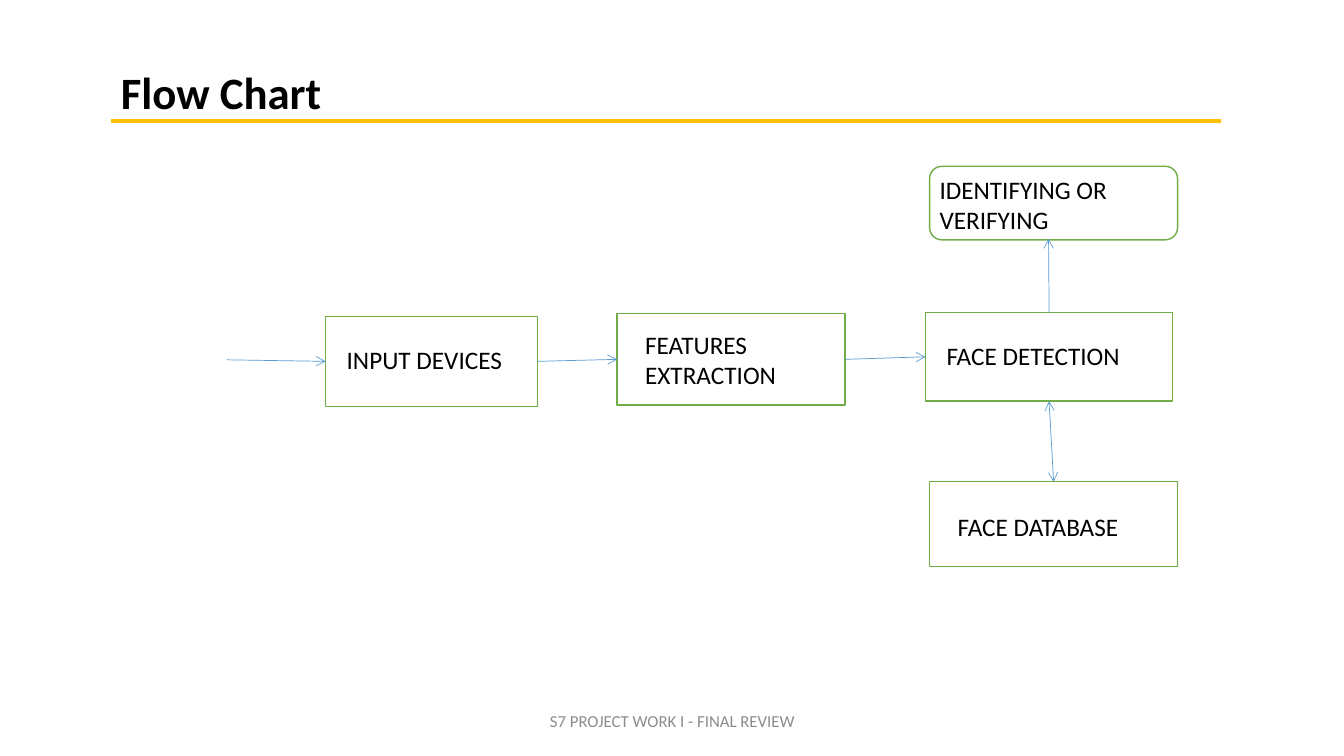
from dataclasses import dataclass
from typing import Any, Optional

from lxml import etree
from pptx import Presentation
from pptx.dml.color import RGBColor
from pptx.enum import shapes, text
from pptx.oxml import ns
from pptx.util import Inches, Pt

COLORS = {"black": "000000", "gray": "8C8C8C", "white": "FFFFFF",
          "gold": "FFC000", "green": "70AD47", "blue": "5B9BD5"}
TOP, LEFT, BOTTOM, RIGHT = range(4)
Area = tuple[float, float, float, float]
Point = tuple[float, float]
Joint = Optional[tuple[str, int]]


@dataclass
class Step:
    name: str
    area: Area
    label: str
    label_area: Area
    kind: Any = shapes.MSO_SHAPE.RECTANGLE


@dataclass
class Arrow:
    start: Point
    end: Point
    begin: Joint = None
    finish: Joint = None
    both: bool = False


STEPS = [
    Step("input", (3.23, 3.14, 2.1, 0.89), "INPUT DEVICES", (3.34, 3.37, 1.88, 0.4)),
    Step("features", (6.12, 3.11, 2.26, 0.91), "FEATURES EXTRACTION", (6.3, 3.22, 2.15, 0.71)),
    Step("detection", (9.18, 3.1, 2.45, 0.88), "FACE DETECTION", (9.29, 3.33, 2.34, 0.4)),
    Step("database", (9.22, 4.78, 2.46, 0.84), "FACE DATABASE", (9.4, 5.02, 2.28, 0.4)),
    Step("result", (9.22, 1.65, 2.46, 0.73), "IDENTIFYING OR VERIFYING",
         (9.22, 1.68, 2.55, 0.71), shapes.MSO_SHAPE.ROUNDED_RECTANGLE),
]
ARROWS = [
    Arrow((2.25, 3.57), (3.23, 3.58), finish=("input", LEFT)),
    Arrow((5.33, 3.58), (6.12, 3.57), ("input", RIGHT), ("features", LEFT)),
    Arrow((8.35, 3.57), (9.18, 3.54), ("features", RIGHT), ("detection", LEFT)),
    Arrow((10.41, 3.1), (10.4, 2.37), ("detection", TOP)),
    Arrow((10.41, 3.97), (10.42, 4.78), ("detection", BOTTOM), ("database", TOP), True),
]


def rgb(color: str) -> RGBColor:
    return RGBColor.from_string(COLORS[color])


def add_text(s: Any, area: Area, words: str, color: str = "black",
             anchor: Any = text.MSO_ANCHOR.TOP, font: Optional[dict] = None,
             paragraph: Optional[dict] = None) -> None:
    tf = s.shapes.add_textbox(*map(Inches, area)).text_frame
    tf.word_wrap = True
    tf.vertical_anchor = anchor
    p = tf.paragraphs[0]
    r = p.add_run()
    r.text = words
    for key, value in (paragraph or {}).items():
        setattr(p, key, value)
    for key, value in ({"name": "Calibri", "size": Pt(18)} | (font or {})).items():
        setattr(r.font, key, value)
    r.font.color.rgb = rgb(color)


def add_step(s: Any, step: Step) -> Any:
    sp = s.shapes.add_shape(step.kind, *map(Inches, step.area))
    sp.shadow.inherit = False
    sp.fill.solid()
    sp.fill.fore_color.rgb = rgb("white")
    sp.line.color.rgb = rgb("green")
    sp.line.width = Pt(1)
    add_text(s, step.label_area, step.label)
    return sp


def add_line(s: Any, start: Point, end: Point, color: str, width: float) -> Any:
    line = s.shapes.add_connector(shapes.MSO_CONNECTOR.STRAIGHT, *map(Inches, start + end))
    line.line.color.rgb = rgb(color)
    line.line.width = Pt(width)
    etree.SubElement(line._element.spPr, ns.qn("a:effectLst"))
    return line


def add_arrow(s: Any, arrow: Arrow, boxes: dict[str, Any]) -> None:
    line = add_line(s, arrow.start, arrow.end, "blue", 0.5)
    if arrow.begin:
        line.begin_connect(boxes[arrow.begin[0]], arrow.begin[1])
    if arrow.finish:
        line.end_connect(boxes[arrow.finish[0]], arrow.finish[1])
    for tag in ["a:headEnd", "a:tailEnd"] if arrow.both else ["a:tailEnd"]:
        etree.SubElement(line.line._get_or_add_ln(), ns.qn(tag), type="arrow")


def main() -> None:
    prs = Presentation()
    prs.slide_width, prs.slide_height = Inches(13.33), Inches(7.5)
    s = prs.slides.add_slide(prs.slide_layouts[6])

    # Title, footer and rule
    add_text(s, (1.1, 0.22, 11.5, 1.45), "Flow Chart", anchor=text.MSO_ANCHOR.MIDDLE,
             font={"size": Pt(32), "bold": True}, paragraph={"line_spacing": 0.9})
    add_text(s, (4.42, 6.95, 4.5, 0.4), "S7 PROJECT WORK I - FINAL REVIEW", "gray",
             text.MSO_ANCHOR.MIDDLE, {"size": Pt(12)}, {"alignment": text.PP_ALIGN.CENTER})
    add_line(s, (1.1, 1.2), (12.11, 1.2), "gold", 2.25)

    # Flow chart
    boxes = {step.name: add_step(s, step) for step in STEPS}
    for arrow in ARROWS:
        add_arrow(s, arrow, boxes)

    prs.save("out.pptx")


if __name__ == "__main__":
    main()
